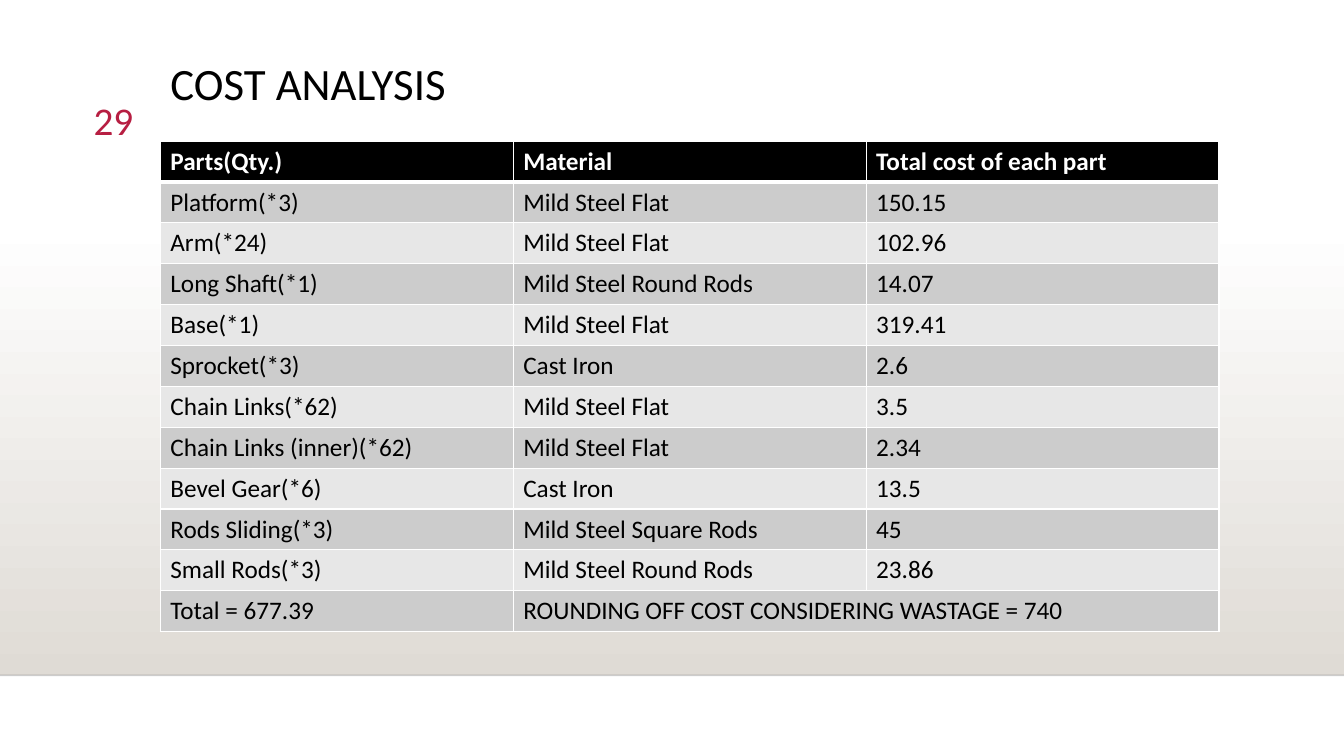
from typing import NamedTuple

from lxml import etree
from pptx import Presentation
from pptx.dml.color import RGBColor
from pptx.enum import shapes, text
from pptx.oxml import ns
from pptx.util import Inches, Pt

BLACK = RGBColor(0x00, 0x00, 0x00)
NEAR_BLACK = RGBColor(0x00, 0x00, 0x01)
WHITE = RGBColor(0xFF, 0xFF, 0xFF)
CRIMSON = RGBColor(0xB7, 0x1E, 0x42)
SAND = RGBColor(0xDF, 0xDB, 0xD5)
DARK_BAND = RGBColor(0xCC, 0xCC, 0xCC)
LIGHT_BAND = RGBColor(0xE7, 0xE7, 0xE7)

PAGE_WIDTH = 13.33
FLOOR_TOP, FLOOR_BOTTOM = 2.21, 6.7
CONTENT_LEFT, CONTENT_WIDTH = 1.59, 10.5


class Part(NamedTuple):
    name: str
    material: str
    cost: str


HEADER = Part("Parts(Qty.)", "Material", "Total cost of each part")
PARTS = [
    Part("Platform(*3)", "Mild Steel Flat", "150.15"),
    Part("Arm(*24)", "Mild Steel Flat", "102.96"),
    Part("Long Shaft(*1)", "Mild Steel Round Rods", "14.07"),
    Part("Base(*1)", "Mild Steel Flat", "319.41"),
    Part("Sprocket(*3)", "Cast Iron", "2.6"),
    Part("Chain Links(*62)", "Mild Steel Flat", "3.5"),
    Part("Chain Links (inner)(*62)", "Mild Steel Flat", "2.34"),
    Part("Bevel Gear(*6)", "Cast Iron", "13.5"),
    Part("Rods Sliding(*3)", "Mild Steel Square Rods", "45"),
    Part("Small Rods(*3)", "Mild Steel Round Rods", "23.86"),
]
TOTAL = Part("Total = 677.39", "ROUNDING OFF COST CONSIDERING WASTAGE = 740", "")


def apply_format(target, values: dict) -> None:
    for name, value in values.items():
        setattr(target, name, value)


def write(frame, words: str, size: int, color: RGBColor, bold: bool = False) -> None:
    """Put one formatted line of text into a text frame."""
    para = frame.paragraphs[0]
    span = para.add_run()
    span.text = words
    apply_format(span.font, {"name": "Calibri", "size": Pt(size), "bold": bold})
    span.font.color.rgb = color


def add_floor(page) -> None:
    """Draw the shaded band and the thin line under it."""
    floor = page.shapes.add_shape(
        shapes.MSO_SHAPE.RECTANGLE, 0, Inches(FLOOR_TOP),
        Inches(PAGE_WIDTH), Inches(FLOOR_BOTTOM - FLOOR_TOP))
    floor.shadow.inherit = False
    floor.line.fill.background()
    floor.fill.gradient()
    floor.fill.gradient_angle = 270
    for stop, color in zip(floor.fill.gradient_stops, (WHITE, SAND)):
        stop.color.rgb = color

    edge = page.shapes.add_connector(
        shapes.MSO_CONNECTOR.STRAIGHT, 0, Inches(FLOOR_BOTTOM),
        Inches(PAGE_WIDTH), Inches(FLOOR_BOTTOM))
    edge.line.width = Pt(1)
    edge.line.color.rgb = NEAR_BLACK
    color_node = edge.line._get_or_add_ln().find(".//" + ns.qn("a:srgbClr"))
    etree.SubElement(color_node, ns.qn("a:alpha"), val="20000")
    etree.SubElement(edge._element.spPr, ns.qn("a:effectLst"))


def add_title(page) -> None:
    title = page.shapes.title
    apply_format(title, {"left": Inches(CONTENT_LEFT), "top": Inches(0.25),
                         "width": Inches(CONTENT_WIDTH), "height": Inches(1.15)})
    apply_format(title.text_frame, {
        "word_wrap": True, "auto_size": text.MSO_AUTO_SIZE.NONE,
        "vertical_anchor": text.MSO_ANCHOR.MIDDLE, "margin_top": Inches(0.1)})
    apply_format(title.text_frame.paragraphs[0],
                 {"alignment": text.PP_ALIGN.LEFT, "line_spacing": 0.9})
    write(title.text_frame, "COST ANALYSIS", 32, BLACK)


def add_page_number(page) -> None:
    box = page.shapes.add_textbox(Inches(0.53), Inches(0.87), Inches(0.89), Inches(0.55))
    apply_format(box.text_frame, {
        "word_wrap": True, "vertical_anchor": text.MSO_ANCHOR.BOTTOM, "margin_bottom": 0})
    box.text_frame.paragraphs[0].alignment = text.PP_ALIGN.RIGHT
    write(box.text_frame, "29", 28, CRIMSON)


def set_borders(cell, top: int, bottom: int) -> None:
    """Give a cell white borders; top and bottom widths are in points."""
    widths = {"lnL": 1, "lnR": 1, "lnT": top, "lnB": bottom}
    for tag, width in widths.items():
        line = etree.SubElement(cell._tc.get_or_add_tcPr(), ns.qn(f"a:{tag}"),
                                w=str(Pt(width)))
        fill = etree.SubElement(line, ns.qn("a:solidFill"))
        etree.SubElement(fill, ns.qn("a:srgbClr"), val=str(WHITE))


def add_cost_table(page) -> None:
    rows = [HEADER, *PARTS, TOTAL]
    table = page.shapes.add_table(
        len(rows), len(HEADER), Inches(CONTENT_LEFT), Inches(1.4),
        Inches(CONTENT_WIDTH), Inches(4.87)).table
    for row, part in enumerate(rows):
        is_header = row == 0
        band = BLACK if is_header else DARK_BAND if row % 2 else LIGHT_BAND
        for column, words in enumerate(part):
            cell = table.cell(row, column)
            set_borders(cell, top=3 if row == 1 else 1, bottom=3 if is_header else 1)
            cell.fill.solid()
            cell.fill.fore_color.rgb = band
            if words:
                write(cell.text_frame, words, 18, WHITE if is_header else BLACK, is_header)
    last = len(rows) - 1
    table.cell(last, 1).merge(table.cell(last, 2))


def main() -> None:
    deck = Presentation()
    apply_format(deck, {"slide_width": Inches(PAGE_WIDTH), "slide_height": Inches(7.5)})
    page = deck.slides.add_slide(deck.slide_layouts.get_by_name("Title Only"))
    add_floor(page)
    add_title(page)
    add_cost_table(page)
    add_page_number(page)
    deck.save("out.pptx")


if __name__ == "__main__":
    main()
